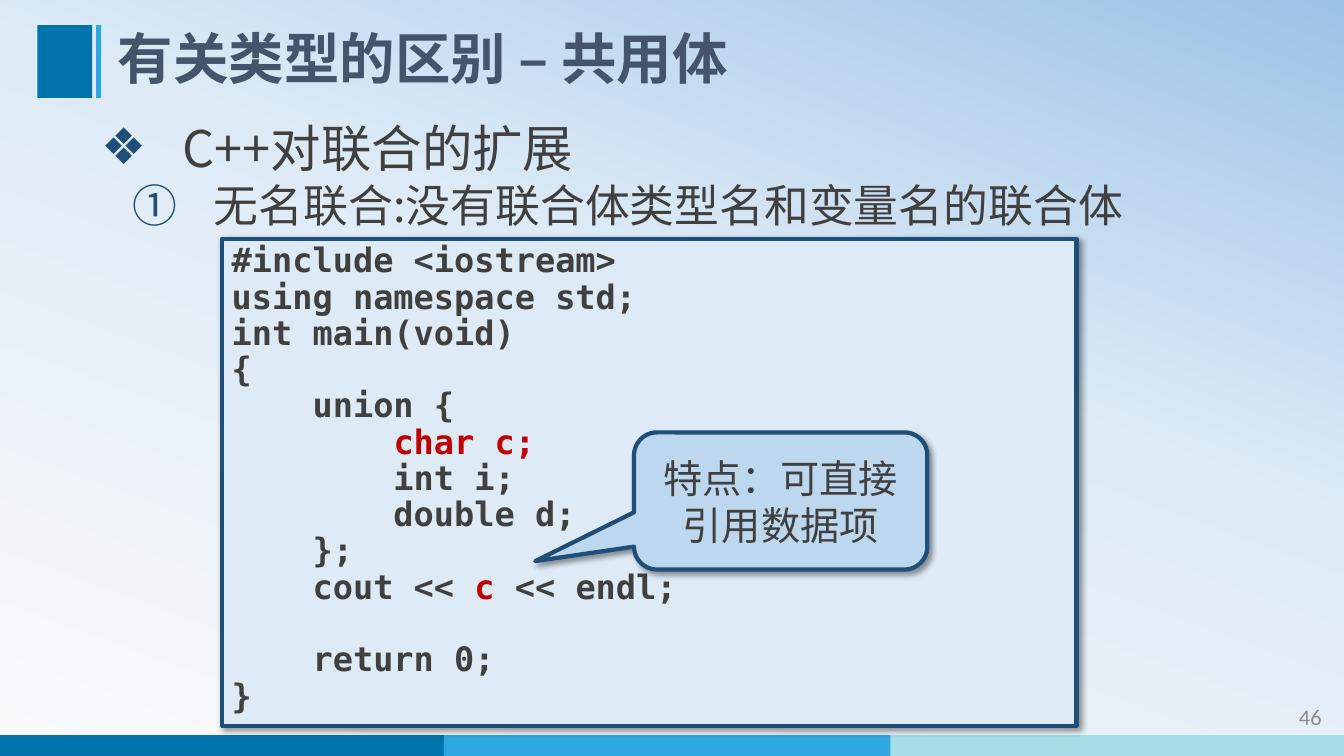
from lxml import etree
from pptx import Presentation
from pptx import util as u
from pptx.dml.color import RGBColor
from pptx.enum import shapes, text
from pptx.oxml import parse_xml
from pptx.oxml.ns import nsdecls, qn


class Theme:
    ink, heading, accent, red, grey = "404040", "44546A", "1F4E79", "C00000", "8C8C8C"
    code_fill, callout_fill = "DEEBF7", "BDD7EE"
    blue, sky, mint = "0073AB", "2EA7E0", "A5DEE4"
    backdrop = [(0, "FAFAFA"), (58, "DEEBF7"), (100, "9DC3E6")]
    sans, mono, latin = "Noto Sans CJK SC", "DejaVu Sans Mono", "Calibri"
    title, topic, point, callout, code, number = 39.6, 36, 32, 28, 24, 16


def style(run, size, color, face, bold=False):
    run.font.size = u.Pt(size)
    run.font.bold = bold
    run.font.name = face
    run.font.color.rgb = RGBColor.from_string(color)
    etree.SubElement(run.font._element, qn("a:ea"), typeface=face)


def add_block(kind, left, top, width, height, fill, framed=False):
    block = slide.shapes.add_shape(kind, u.Pt(left), u.Pt(top), u.Pt(width), u.Pt(height))
    block.shadow.inherit = False
    block.fill.solid()
    block.fill.fore_color.rgb = RGBColor.from_string(fill)
    if not framed:
        block.line.fill.background()
        return block
    block.line.color.rgb = RGBColor.from_string(Theme.accent)
    block.line.width = u.Pt(3)
    block.text_frame.word_wrap = True
    effects = block._element.spPr.find(qn("a:effectLst"))
    effects.append(parse_xml(
        f'<a:outerShdw {nsdecls("a")} blurRad="{u.Pt(4)}" dist="{u.Pt(3)}" dir="2700000" '
        'algn="tl" rotWithShape="0"><a:srgbClr val="000000"><a:alpha val="40000"/>'
        '</a:srgbClr></a:outerShdw>'))
    return block


deck = Presentation()
deck.slide_width, deck.slide_height = u.Pt(960), u.Pt(540)
slide = deck.slides.add_slide(deck.slide_layouts[1])

backdrop = slide.background.fill
backdrop.gradient()
backdrop.gradient_angle = 70
stops = slide.background._cSld.find(".//" + qn("a:gsLst"))
for stop in list(stops):
    stops.remove(stop)
for position, color in Theme.backdrop:
    stop = etree.SubElement(stops, qn("a:gs"), pos=str(position * 1000))
    etree.SubElement(stop, qn("a:srgbClr"), val=color)

RECT = shapes.MSO_SHAPE.RECTANGLE
for index, color in enumerate((Theme.blue, Theme.sky, Theme.mint)):
    add_block(RECT, 319 * index - 2, 525, 324, 15, color)
add_block(RECT, 26.8, 18, 39, 52, Theme.blue)
add_block(RECT, 68.6, 18, 3.6, 52, Theme.sky)

heading = slide.shapes.title
heading.left, heading.top, heading.width, heading.height = map(u.Pt, (77, 18, 782, 52))
heading.text_frame.text = "有关类型的区别 – 共用体"
heading.text_frame.vertical_anchor = text.MSO_ANCHOR.MIDDLE
heading.text_frame.auto_size = text.MSO_AUTO_SIZE.NONE
heading_line = heading.text_frame.paragraphs[0]
heading_line.alignment = text.PP_ALIGN.LEFT
heading_line.line_spacing = 0.9
style(heading_line.runs[0], Theme.title, Theme.heading, Theme.sans, True)

outline = slide.placeholders[1]
outline.left, outline.top, outline.width, outline.height = map(u.Pt, (65, 80, 863, 138))
outline.text_frame.text = "C++对联合的扩展\n无名联合:没有联合体类型名和变量名的联合体"
outline.text_frame.auto_size = text.MSO_AUTO_SIZE.NONE
levels = [
    (58.3, Theme.topic, "buChar", {"char": "❖"}),
    (80.6, Theme.point, "buAutoNum", {"type": "circleNumDbPlain"}),
]
for level, (item, (indent, size, bullet, marker)) in enumerate(
        zip(outline.text_frame.paragraphs, levels)):
    item.level = level
    item.space_before = u.Pt(0)
    properties = item._p.get_or_add_pPr()
    properties.set("marL", str(u.Pt(indent)))
    properties.set("indent", str(u.Pt(-58.3)))
    bullet_color = etree.SubElement(properties, qn("a:buClr"))
    etree.SubElement(bullet_color, qn("a:srgbClr"), val=Theme.accent)
    etree.SubElement(properties, qn("a:" + bullet), **marker)
    style(item.runs[0], size, Theme.ink, Theme.sans)

program = """#include <iostream>
using namespace std;
int main(void)
{
    union {
        |char c;|
        int i;
        double d;
    };
    cout <<| c |<< endl;

    return 0;
}"""
listing = add_block(RECT, 158.4, 170.6, 610.6, 347.8, Theme.code_fill, True).text_frame
listing.vertical_anchor = text.MSO_ANCHOR.TOP
for index, source_line in enumerate(program.split("\n")):
    row = listing.add_paragraph() if index else listing.paragraphs[0]
    row.alignment = text.PP_ALIGN.LEFT
    row.line_spacing = 0.9
    for part, piece in enumerate(source_line.split("|")):
        if piece:
            run = row.add_run()
            run.text = piece
            style(run, Theme.code, Theme.red if part % 2 else Theme.ink, Theme.mono, True)
    if not source_line:
        blank = etree.SubElement(row._p, qn("a:endParaRPr"), sz=str(Theme.code * 100), b="1")
        etree.SubElement(blank, qn("a:latin"), typeface=Theme.mono)

feature = add_block(shapes.MSO_SHAPE.ROUNDED_RECTANGULAR_CALLOUT,
                    452.9, 308.9, 209.5, 97.9, Theme.callout_fill, True)
for index, adjustment in enumerate((-0.837, 0.439, 0.167)):
    feature.adjustments[index] = adjustment
feature.text_frame.text = "特点：可直接引用数据项"
feature.text_frame.vertical_anchor = text.MSO_ANCHOR.MIDDLE
feature_line = feature.text_frame.paragraphs[0]
feature_line.alignment = text.PP_ALIGN.CENTER
style(feature_line.runs[0], Theme.callout, Theme.ink, Theme.sans)

page_number = slide.shapes.add_textbox(u.Pt(836.6), u.Pt(497.5), u.Pt(114.5), u.Pt(28.8)).text_frame
page_number.word_wrap = True
page_number.vertical_anchor = text.MSO_ANCHOR.MIDDLE
page_number.text = "46"
page_number.paragraphs[0].alignment = text.PP_ALIGN.RIGHT
style(page_number.paragraphs[0].runs[0], Theme.number, Theme.grey, Theme.latin)

deck.save("out.pptx")
